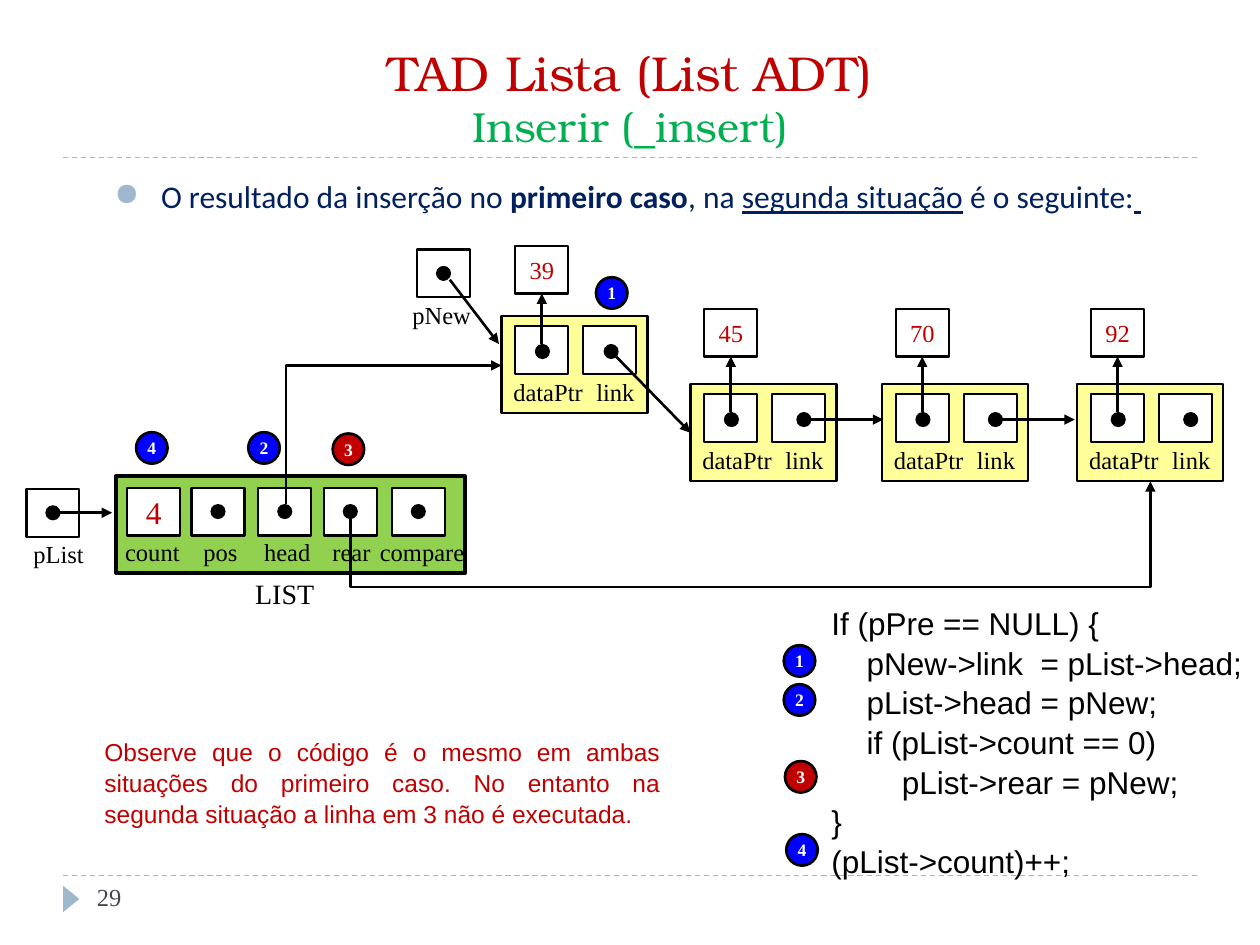
from lxml.etree import SubElement
from pptx import Presentation
from pptx.dml.color import RGBColor
from pptx.enum.dml import MSO_LINE
from pptx.enum.shapes import MSO_CONNECTOR, MSO_SHAPE
from pptx.enum.text import MSO_ANCHOR, PP_ALIGN
from pptx.oxml.ns import qn
from pptx.util import Inches, Pt

BLACK = RGBColor(0x00, 0x00, 0x00)
WHITE = RGBColor(0xFF, 0xFF, 0xFF)
RED = RGBColor(0xC0, 0x00, 0x00)
GREEN = RGBColor(0x00, 0xB0, 0x50)
LIST_GREEN = RGBColor(0x92, 0xD0, 0x50)
NODE_YELLOW = RGBColor(0xFF, 0xFF, 0x99)
BADGE_BLUE = RGBColor(0x00, 0x00, 0xFF)
NAVY = RGBColor(0x00, 0x20, 0x60)
PALE_BLUE = RGBColor(0x9F, 0xB8, 0xCD)
SLATE = RGBColor(0x46, 0x46, 0x53)

SLIDE_WIDTH, SLIDE_HEIGHT = Inches(10), Inches(7.5)
COLUMN, ROW = SLIDE_WIDTH / 100, SLIDE_HEIGHT / 75
CELL_WIDTH, CELL_HEIGHT = 4.2, 3.8
NODE_WIDTH, NODE_HEIGHT = 11.6, 7.7
DOT, BADGE = 1.2, 2.5
SERIF = "Times New Roman"


def grid(*lengths):
    """Turn alternating columns and rows into slide lengths."""
    return [round(n * (ROW if i % 2 else COLUMN)) for i, n in enumerate(lengths)]


def style_font(font, size, color, name=SERIF, bold=None):
    """Set the look of a font."""
    font.size, font.name, font.bold = Pt(size), name, bold
    font.color.rgb = color


def add_box(slide, kind, area, fill, outline=None, text="", size=14, color=RED, bold=None):
    """Draw a filled shape with an optional outline and centred text."""
    shape = slide.shapes.add_shape(kind, *grid(*area))
    shape.shadow.inherit = False
    shape.fill.solid()
    shape.fill.fore_color.rgb = fill
    if outline:
        shape.line.color.rgb, shape.line.width = BLACK, Pt(outline)
    else:
        shape.line.fill.background()
    if text:
        frame = shape.text_frame
        frame.margin_left = frame.margin_right = frame.margin_top = frame.margin_bottom = 0
        frame.vertical_anchor = MSO_ANCHOR.MIDDLE
        frame.text = text
        paragraph = frame.paragraphs[0]
        paragraph.alignment = PP_ALIGN.CENTER
        style_font(paragraph.font, size, color, bold=bold)
    return shape


def add_text(slide, area, text, size, color, name=SERIF, align=PP_ALIGN.LEFT):
    """Add a wrapped text box and return its text frame."""
    frame = slide.shapes.add_textbox(*grid(*area)).text_frame
    frame.word_wrap = True
    frame.text = text
    for paragraph in frame.paragraphs:
        paragraph.alignment = align
        style_font(paragraph.font, size, color, name)
    return frame


def add_label(slide, center, top, text, size=14):
    """Write a short caption centred on a column."""
    add_text(slide, (center - 5, top, 10, 3.4), text, size, BLACK, align=PP_ALIGN.CENTER)


def add_line(slide, start, end, color=BLACK, width=1.5, kind=MSO_CONNECTOR.STRAIGHT):
    """Draw a connector without a shadow."""
    connector = slide.shapes.add_connector(kind, *grid(*start, *end))
    connector.line.color.rgb, connector.line.width = color, Pt(width)
    SubElement(connector._element.spPr, qn("a:effectLst"))
    return connector


def add_arrowhead(connector):
    """Put a triangle at the end of a connector."""
    SubElement(connector.line._get_or_add_ln(), qn("a:tailEnd"), type="triangle")
    return connector


def add_arrow(slide, start, end):
    """Draw a straight arrow."""
    return add_arrowhead(add_line(slide, start, end))


def add_elbow_arrow(slide, start, end, preset, bend=None):
    """Draw a bent arrow that leaves vertically and ends up and to the right."""
    run, rise = end[0] - start[0], start[1] - end[1]
    left = (start[0] + end[0] - rise) / 2
    top = (start[1] + end[1] - run) / 2
    connector = add_line(slide, (left, top), (left + rise, top + run), kind=MSO_CONNECTOR.ELBOW)
    properties = connector._element.spPr
    properties.find(qn("a:xfrm")).set("rot", str(270 * 60000))
    geometry = properties.find(qn("a:prstGeom"))
    geometry.set("prst", preset)
    if bend is not None:
        guides = geometry.find(qn("a:avLst"))
        SubElement(guides, qn("a:gd"), name="adj1", fmla=f"val {round(bend / rise * 100000)}")
    add_arrowhead(connector)


def add_dot(slide, x, y):
    """Draw a pointer dot centred on a point."""
    add_box(slide, MSO_SHAPE.OVAL, (x - DOT / 2, y - DOT / 2, DOT, DOT), BLACK)


def add_cell(slide, left, top, text="", size=14):
    """Draw a white memory cell."""
    area = (left, top, CELL_WIDTH, CELL_HEIGHT)
    return add_box(slide, MSO_SHAPE.RECTANGLE, area, WHITE, 1.25, text, size)


def add_pointer(slide, left, top):
    """Draw a memory cell that holds a pointer dot."""
    add_cell(slide, left, top)
    add_dot(slide, left + CELL_WIDTH / 2, top + CELL_HEIGHT / 2)


def add_node(slide, left, top, value, value_rise=6, link_dot=9):
    """Draw a list node with its two pointers and its value."""
    area = (left, top, NODE_WIDTH, NODE_HEIGHT)
    node = add_box(slide, MSO_SHAPE.RECTANGLE, area, NODE_YELLOW, 1.25)
    for offset, center, name in ((1.1, 3.7, "dataPtr"), (6.5, 9.05, "link")):
        add_cell(slide, left + offset, top + 0.8)
        add_label(slide, left + center, top + 4.3, name)
    value_cell = add_cell(slide, left + 1.1, top - value_rise, value)
    middle = left + 1.1 + CELL_WIDTH / 2
    arrow = add_arrow(slide, (middle, top + 2.2), (middle, top - value_rise + CELL_HEIGHT))
    arrow.end_connect(value_cell, 2)
    add_dot(slide, left + 3.25, top + 2.8)
    add_dot(slide, left + link_dot, top + 2.8)
    return node


def add_badge(slide, left, top, number):
    """Draw a numbered step circle, red for step 3."""
    fill = RED if number == 3 else BADGE_BLUE
    add_box(slide, MSO_SHAPE.OVAL, (left, top, BADGE, BADGE), fill, 1.5, str(number), 10, WHITE, True)


def add_heading(slide):
    """Write the title and the introductory bullet."""
    frame = add_text(slide, (5, 2.5, 90, 10), "", 28, RED, "TeX Gyre Bonum", PP_ALIGN.CENTER)
    frame.vertical_anchor = MSO_ANCHOR.BOTTOM
    title = frame.paragraphs[0]
    for text, size, color in (("TAD Lista (List ADT)", 28, RED), ("Inserir (_insert)", 24, GREEN)):
        if title.runs:
            title.add_line_break()
        run = title.add_run()
        run.text = text
        style_font(run.font, size, color, "TeX Gyre Bonum")
    bullet = add_text(slide, (8.1, 13.6, 85, 4.7), "", 18, NAVY, "Calibri", PP_ALIGN.JUSTIFY).paragraphs[0]
    properties = bullet._p.get_or_add_pPr()
    properties.set("marL", str(Inches(0.37)))
    properties.set("indent", str(-Inches(0.37)))
    bullet_color = SubElement(properties, qn("a:buClr"))
    SubElement(bullet_color, qn("a:srgbClr"), val=str(PALE_BLUE))
    SubElement(properties, qn("a:buChar"), char="●")
    properties.append(properties.find(qn("a:defRPr")))
    for text, bold, underline in (
        ("O resultado da inserção no ", False, False), ("primeiro caso", True, False),
        (", na ", False, False), ("segunda situação", False, True),
        (" é o seguinte:", False, False), (" ", False, True),
    ):
        run = bullet.add_run()
        run.text = text
        run.font.bold, run.font.underline = bold, underline


def add_frame(slide):
    """Draw the dashed rules and the page number."""
    for y in (12.5, 69.5):
        add_line(slide, (5, y), (95, y), PALE_BLUE, 0.75).line.dash_style = MSO_LINE.DASH
    add_box(slide, MSO_SHAPE.ISOSCELES_TRIANGLE, (4.6, 70.7, 2.1, 1.3), PALE_BLUE).rotation = 90
    add_text(slide, (6.7, 69.5, 21.7, 4), "29", 14, SLATE)


def add_list_head(slide):
    """Draw the list structure and the pointer to it."""
    add_pointer(slide, 2.1, 38.8)
    add_label(slide, 4.65, 42.3, "pList")
    add_arrow(slide, (4.2, 40.7), (8.9, 40.7))
    add_label(slide, 22.6, 45.3, "LIST", 16)
    add_box(slide, MSO_SHAPE.RECTANGLE, (9.2, 37.8, 27.7, 7.7), LIST_GREEN, 2)
    add_cell(slide, 10.1, 38.7, "4", 18)
    for left in (15.2, 20.5, 25.7, 31.1):
        add_pointer(slide, left, 38.7)
    for center, name in ((12.1, "count"), (17.5, "pos"), (22.8, "head"), (27.9, "rear"), (33.5, "compare")):
        add_label(slide, center, 42.1, name)


def add_code(slide):
    """Write the insertion code and the remark about it."""
    lines = ((0, "If (pPre == NULL) {"), (1, "pNew->link  = pList->head;"), (1, "pList->head = pNew;"),
             (1, "if (pList->count == 0)"), (2, "pList->rear = pNew;"), (0, "}"), (0, "(pList->count)++;"))
    code = add_text(slide, (65, 47.3, 35, 22.2), "\n".join(text for _, text in lines), 18, BLACK, "Arial")
    for paragraph, (depth, _) in zip(code.paragraphs, lines):
        paragraph._p.get_or_add_pPr().set("marL", str(Inches(0.28 * depth)))
    remark = add_text(
        slide, (7.3, 57.9, 46.1, 8.1),
        "Observe que o código é o mesmo em ambas situações do primeiro caso. "
        "No entanto na segunda situação a linha em 3 não é executada.",
        14, RED, "Arial", PP_ALIGN.JUSTIFY)
    for paragraph in code.paragraphs + remark.paragraphs:
        paragraph.line_spacing = 1.05


def main():
    """Build the slide and save it."""
    presentation = Presentation()
    presentation.slide_width, presentation.slide_height = SLIDE_WIDTH, SLIDE_HEIGHT
    slide = presentation.slides.add_slide(presentation.slide_layouts[6])
    add_frame(slide)
    add_heading(slide)
    add_code(slide)
    add_list_head(slide)
    nodes = [add_node(slide, left, 30.5, value) for left, value in ((54.8, "45"), (70, "70"), (85.5, "92"))]
    for x in (63.8, 79):
        add_arrow(slide, (x, 33.3), (x + 6.3, 33.3))
    add_node(slide, 39.8, 25.1, "39", 5.6, 8.7)
    add_label(slide, 35.05, 23.3, "pNew")
    add_pointer(slide, 33.1, 19.8)
    add_arrow(slide, (35.7, 22.2), (39.6, 27.3))
    add_arrow(slide, (48.9, 28.3), (54.8, 34.35)).end_connect(nodes[0], 1)
    add_elbow_arrow(slide, (27.8, 41.2), (91.3, 38.2), "bentConnector3", -5.4)
    add_elbow_arrow(slide, (22.7, 40), (39.8, 29), "bentConnector2")
    for badge in ((10.8, 34.3, 4), (19.7, 34.3, 2), (26.4, 34.4, 3), (47.3, 22, 1),
                  (62.2, 51.2, 1), (62.2, 54.3, 2), (62.3, 60.4, 3), (62.4, 66.2, 4)):
        add_badge(slide, *badge)
    presentation.save("out.pptx")


if __name__ == "__main__":
    main()
